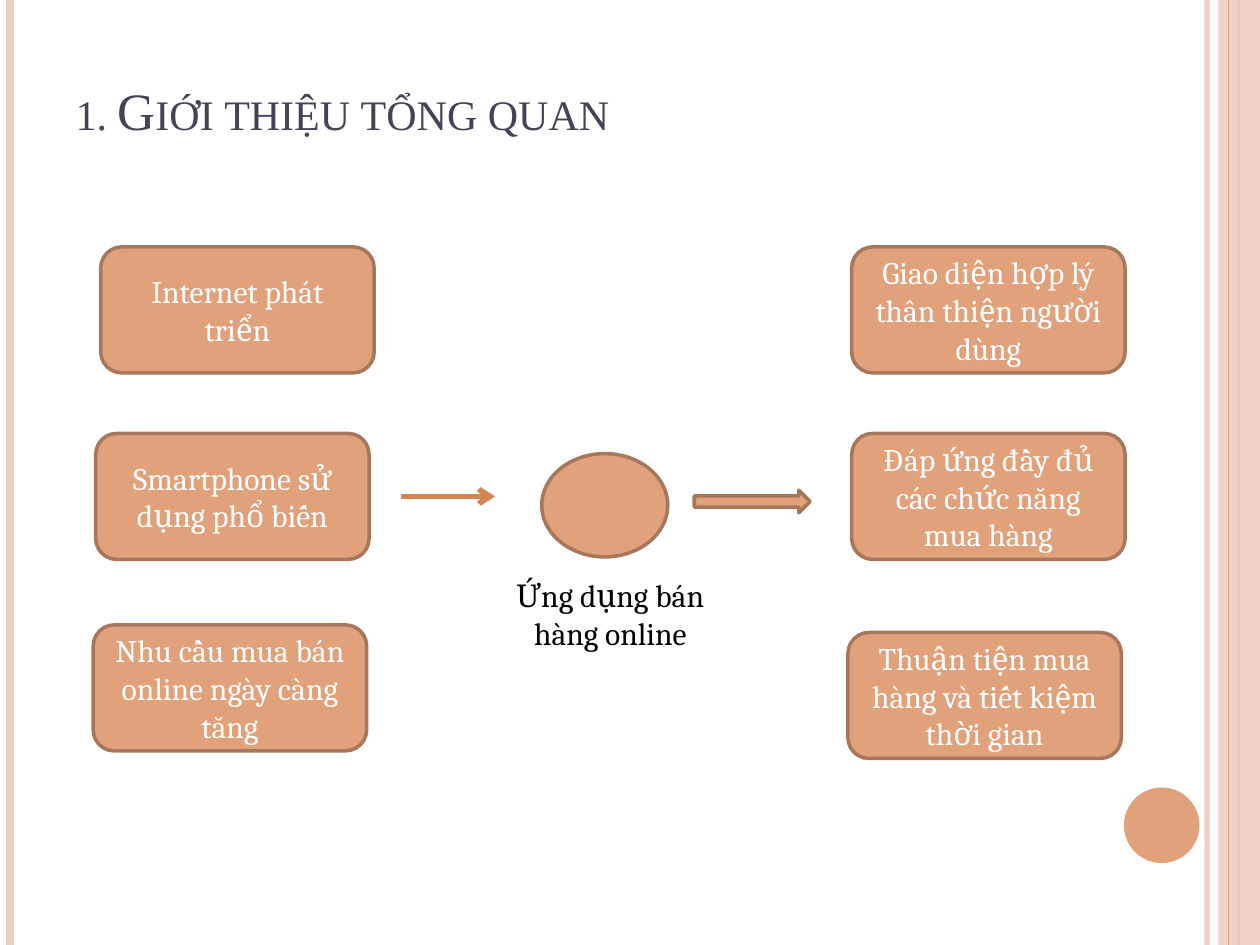
from lxml.etree import SubElement
from pptx import Presentation
from pptx.dml.color import RGBColor
from pptx.enum.shapes import MSO_CONNECTOR, MSO_SHAPE
from pptx.enum.text import MSO_ANCHOR, MSO_AUTO_SIZE, PP_ALIGN
from pptx.oxml.ns import qn
from pptx.util import Inches, Pt

COLUMNS, ROWS = 100, 75
CELL = Inches(0.1)

ORANGE = RGBColor(0xE0, 0xA1, 0x7B)
BROWN = RGBColor(0xA6, 0x77, 0x5B)
DEEP_ORANGE = RGBColor(0xD5, 0x85, 0x54)
PINK = RGBColor(0xED, 0xCD, 0xBF)
SLATE = RGBColor(0x42, 0x44, 0x56)
WHITE = RGBColor(0xFF, 0xFF, 0xFF)
BLACK = RGBColor(0x00, 0x00, 0x00)

BOX_SIZE = (21.7, 10)
TITLE_FORMAT = {"name": "Times New Roman", "size": Pt(30), "bold": False}
BODY_FORMAT = {"name": "Cambria", "size": Pt(18), "bold": False}

RAILS = [
    (95.8, PINK, 3, 93),
    (0.8, PINK, 4.5, 100),
    (98.3, ORANGE, 1.5, 100),
    (97.5, ORANGE, 0.75, 100),
]
REASONS = [
    (8, 19.6, "Internet phát triển"),
    (7.6, 34.4, "Smartphone sử dụng phổ biến"),
    (7.4, 49.6, "Nhu cầu mua bán online ngày càng tăng"),
]
BENEFITS = [
    (67.6, 19.6, "Giao diện hợp lý thân thiện người dùng"),
    (67.6, 34.4, "Đáp ứng đầy đủ các chức năng mua hàng"),
    (67.3, 50.2, "Thuận tiện mua hàng và tiết kiệm thời gian"),
]


def grid(*cells):
    """Turn grid cells into slide lengths."""
    return [round(cell * CELL) for cell in cells]


def set_opacity(shape, percent):
    """Make the shape's colour partly transparent."""
    if percent < 100:
        color = shape.element.spPr.find(".//" + qn("a:srgbClr"))
        SubElement(color, qn("a:alpha"), val=str(percent * 1000))


def write_text(shape, text, color, font_format, align=PP_ALIGN.CENTER):
    """Write one formatted paragraph into a shape and return its span."""
    shape.text_frame.word_wrap = True
    para = shape.text_frame.paragraphs[0]
    para.alignment = align
    span = para.add_run()
    span.text = text
    for name, value in font_format.items():
        setattr(span.font, name, value)
    span.font.color.rgb = color
    return span


def add_figure(page, kind, place, fill=ORANGE, outline=BROWN, opacity=100):
    """Add a filled preset shape, outlined when a colour is given."""
    shape = page.shapes.add_shape(kind, *grid(*place))
    shape.shadow.inherit = False
    shape.fill.solid()
    shape.fill.fore_color.rgb = fill
    set_opacity(shape, opacity)
    if outline is None:
        shape.line.fill.background()
    else:
        shape.line.color.rgb = outline
        shape.line.width = Pt(2)
    return shape


def add_line(page, ends, color, width, opacity=100):
    """Add a straight line without a shadow."""
    line = page.shapes.add_connector(MSO_CONNECTOR.STRAIGHT, *grid(*ends))
    line.line.color.rgb = color
    line.line.width = Pt(width)
    set_opacity(line, opacity)
    SubElement(line.element.spPr, qn("a:effectLst"))
    return line


def add_arrow(page, ends):
    """Add a line with an open arrowhead at its end."""
    arrow = add_line(page, ends, DEEP_ORANGE, 3)
    SubElement(arrow.line._get_or_add_ln(), qn("a:tailEnd"), type="arrow")


def add_box(page, left, top, text):
    """Add a rounded box with centred text."""
    box = add_figure(page, MSO_SHAPE.ROUNDED_RECTANGLE, (left, top, *BOX_SIZE))
    box.text_frame.vertical_anchor = MSO_ANCHOR.MIDDLE
    write_text(box, text, WHITE, BODY_FORMAT)


def add_label(page, place, text):
    """Add a centred text label that grows with its text."""
    label = page.shapes.add_textbox(*grid(*place))
    write_text(label, text, BLACK, BODY_FORMAT)
    label.text_frame.auto_size = MSO_AUTO_SIZE.SHAPE_TO_FIT_TEXT


def set_title(page, place, text):
    """Move the title placeholder and fill it with small capitals."""
    title = page.shapes.title
    title.left, title.top, title.width, title.height = grid(*place)
    title.text_frame.vertical_anchor = MSO_ANCHOR.BOTTOM
    title.text_frame.auto_size = MSO_AUTO_SIZE.NONE
    span = write_text(title, text, SLATE, TITLE_FORMAT, PP_ALIGN.LEFT)
    span.font._element.set("cap", "small")


def add_decoration(page):
    """Add the side rails, the right band and the corner disc."""
    band = (96.7, 0, COLUMNS - 96.7, ROWS)
    for index, (column, color, width, opacity) in enumerate(RAILS):
        if index == len(RAILS) - 1:
            add_figure(page, MSO_SHAPE.RECTANGLE, band, PINK, None, 87)
        add_line(page, (column, 0, column, ROWS), color, width, opacity)
    add_figure(page, MSO_SHAPE.OVAL, (89.2, 62.5, 6, 6), ORANGE, None)


def main():
    """Build and save the deck."""
    deck = Presentation()
    deck.slide_width, deck.slide_height = grid(COLUMNS, ROWS)
    page = deck.slides.add_slide(deck.slide_layouts[5])
    add_decoration(page)
    set_title(page, (5, 3, 81.7, 8.7), "1. Giới thiệu tổng quan")
    for left, top, text in REASONS + BENEFITS:
        add_box(page, left, top, text)
    add_label(page, (39.3, 45.2, 18.3, 7.1), "Ứng dụng bán hàng online")
    add_figure(page, MSO_SHAPE.FLOWCHART_CONNECTOR, (43, 36, 10, 8.2))
    add_figure(page, MSO_SHAPE.RIGHT_ARROW, (55.1, 38.9, 9.2, 1.8))
    add_arrow(page, (31.8, 39.4, 39.3, 39.4))
    deck.save("out.pptx")


if __name__ == "__main__":
    main()
